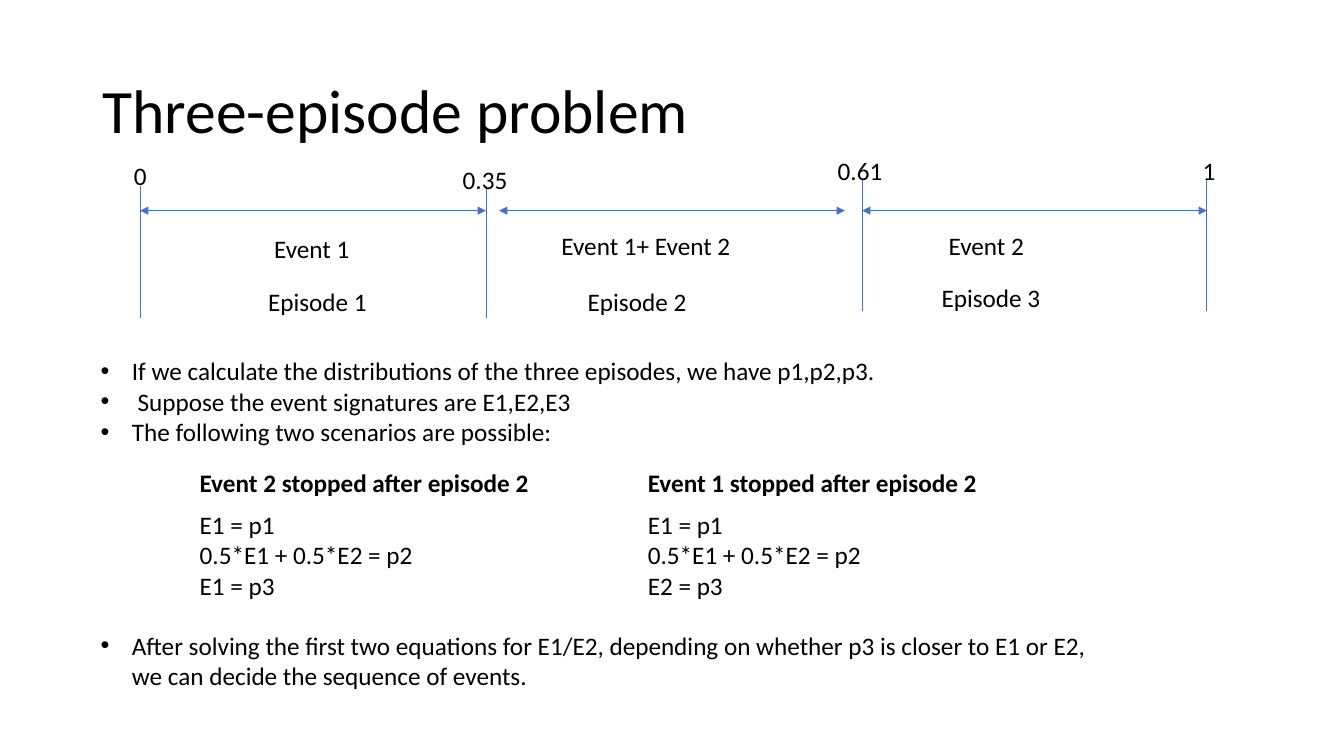
"""Build the three-episode problem slide with its timeline and scenario table."""
from lxml import etree
from pptx import Presentation
from pptx.dml.color import RGBColor
from pptx.enum.shapes import MSO_CONNECTOR
from pptx.enum.text import MSO_ANCHOR, MSO_AUTO_SIZE
from pptx.oxml.ns import qn
from pptx.util import Inches, Pt

COLORS = {"text": "000000", "line": "4472C4"}


def write_text(frame, lines, size=18, bold=False, spacing=1.0, bullet=False):
    for index, line in enumerate(lines):
        paragraph = frame.paragraphs[0] if index == 0 else frame.add_paragraph()
        paragraph.line_spacing = spacing
        run = paragraph.add_run()
        run.text = line
        run.font.name = "Calibri"
        run.font.size = Pt(size)
        run.font.bold = bold
        run.font.color.rgb = RGBColor.from_string(COLORS["text"])
        if bullet:
            properties = paragraph._p.get_or_add_pPr()
            properties.set("marL", str(Inches(0.31)))
            properties.set("indent", str(Inches(-0.31)))
            etree.SubElement(properties, qn("a:buFont"), typeface="Arial")
            etree.SubElement(properties, qn("a:buChar"), char="•")


def add_line(left, top, right, bottom, arrows=False):
    connector = slide.shapes.add_connector(
        MSO_CONNECTOR.STRAIGHT, Inches(left), Inches(top), Inches(right), Inches(bottom))
    connector.line.color.rgb = RGBColor.from_string(COLORS["line"])
    connector.line.width = Pt(0.5)
    if arrows:
        outline = connector.line._get_or_add_ln()
        for end in ("a:headEnd", "a:tailEnd"):
            etree.SubElement(outline, qn(end), type="triangle")
    etree.SubElement(connector._element.spPr, qn("a:effectLst"))


presentation = Presentation()
presentation.slide_width = Inches(13.33)
presentation.slide_height = Inches(7.5)
slide = presentation.slides.add_slide(presentation.slide_layouts[6])

title = slide.shapes.add_textbox(Inches(0.92), Inches(0.4), Inches(11.5), Inches(1.45))
title.text_frame.word_wrap = True
title.text_frame.vertical_anchor = MSO_ANCHOR.MIDDLE
write_text(title.text_frame, ["Three-episode problem"], size=44, spacing=0.9)

for left, top in [(1.39, 1.85), (4.82, 1.85), (8.55, 1.79), (11.97, 1.79)]:
    add_line(left, top, left, top + 1.3)
for left, right in [(1.39, 4.82), (4.95, 8.38), (8.55, 11.97)]:
    add_line(left, 2.09, right, 2.09, arrows=True)

timeline_labels = [
    ("0", 1.23, 1.54, 0.33),
    ("0.35", 4.49, 1.58, 0.65),
    ("0.61", 8.21, 1.49, 0.65),
    ("1", 11.83, 1.49, 0.33),
    ("Event 1", 2.62, 2.27, 0.96),
    ("Event 1+ Event 2", 5.47, 2.24, 1.9),
    ("Event 2", 9.31, 2.24, 0.96),
    ("Episode 1", 2.56, 2.79, 1.19),
    ("Episode 2", 5.73, 2.79, 1.19),
    ("Episode 3", 9.24, 2.75, 1.19),
]
for text, left, top, width in timeline_labels:
    label = slide.shapes.add_textbox(Inches(left), Inches(top), Inches(width), Inches(0.4))
    label.text_frame.word_wrap = False
    label.text_frame.auto_size = MSO_AUTO_SIZE.SHAPE_TO_FIT_TEXT
    write_text(label.text_frame, [text])

notes = slide.shapes.add_textbox(Inches(0.9), Inches(3.48), Inches(10.19), Inches(4.04))
notes.text_frame.word_wrap = True
write_text(notes.text_frame, [
    "If we calculate the distributions of the three episodes, we have p1,p2,p3.",
    " Suppose the event signatures are E1,E2,E3",
    "The following two scenarios are possible:",
    "After solving the first two equations for E1/E2, depending on whether p3 is "
    "closer to E1 or E2, we can decide the sequence of events.",
], bullet=True)
notes.text_frame.paragraphs[-1].space_before = Pt(131)

scenarios = [("Event 2 stopped after episode 2", "E1 = p3"),
             ("Event 1 stopped after episode 2", "E2 = p3")]
table = slide.shapes.add_table(
    2, 2, Inches(1.88), Inches(4.6), Inches(8.89), Inches(1.41)).table
table.rows[0].height = Inches(0.41)
table.rows[1].height = Inches(1)
for column, (heading, last_equation) in enumerate(scenarios):
    equations = ["E1 = p1", "0.5*E1 + 0.5*E2 = p2", last_equation]
    for row, lines in enumerate([[heading], equations]):
        cell = table.cell(row, column)
        cell.fill.background()
        write_text(cell.text_frame, lines, bold=row == 0)

presentation.save("out.pptx")
